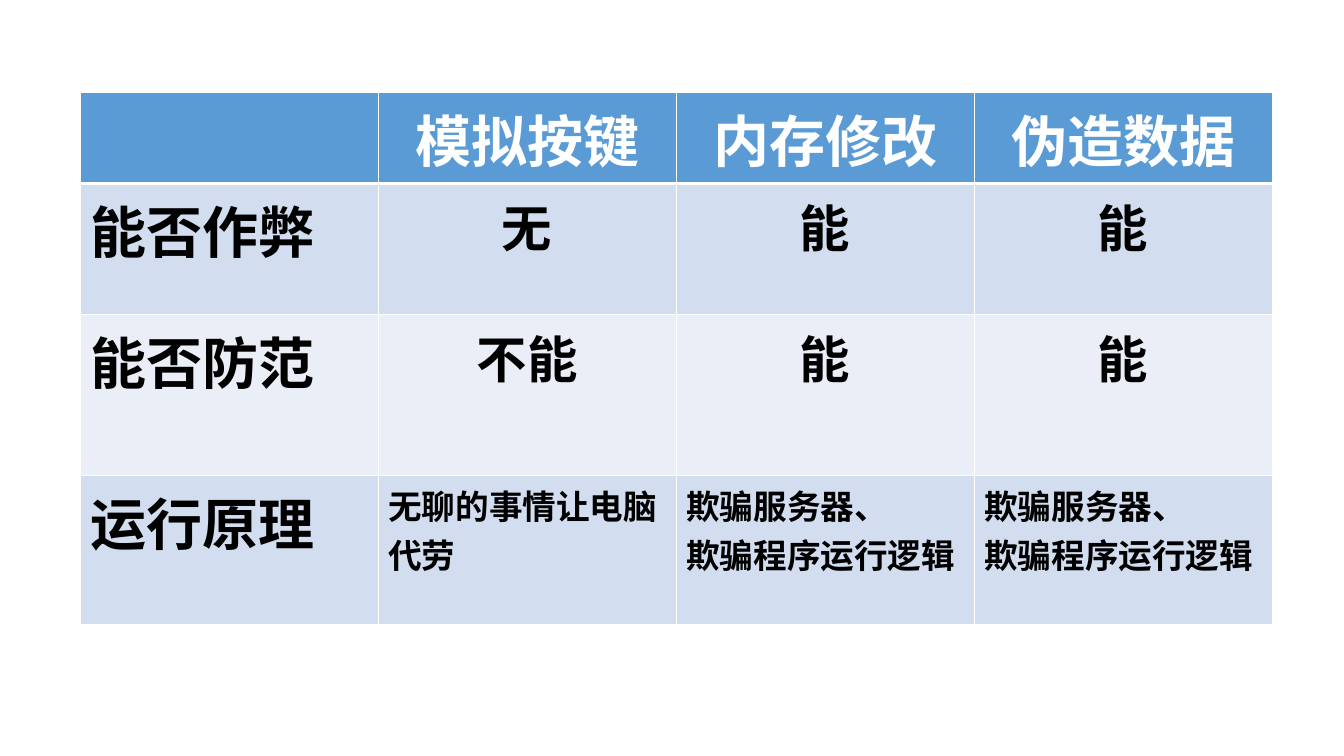
from lxml import etree
from pptx import Presentation
from pptx.dml.color import RGBColor
from pptx.enum import text
from pptx.oxml import ns
from pptx.util import Cm, Pt

FONT = "Noto Sans CJK SC"
WHITE = RGBColor(0xFF, 0xFF, 0xFF)
BLACK = RGBColor(0x00, 0x00, 0x00)
BLUE = RGBColor(0x5B, 0x9B, 0xD5)
BAND_DARK = RGBColor(0xD2, 0xDE, 0xEF)
BAND_LIGHT = RGBColor(0xEA, 0xEF, 0xF7)

ROWS = [
    ["", "模拟按键", "内存修改", "伪造数据"],
    ["能否作弊", "无", "能", "能"],
    ["能否防范", "不能", "能", "能"],
    ["运行原理", "无聊的事情让电脑代劳"] + ["欺骗服务器、\n欺骗程序运行逻辑"] * 2,
]
HEIGHTS = [2.21, 3.3, 4.06, 3.76]
FILLS = [BLUE, BAND_DARK, BAND_LIGHT, BAND_DARK]
BODY_SIZES = [40, 36, 36, 24]
COL_WIDTH = 7.51


def set_border(cell, index, side, width):
    ln = etree.Element(ns.qn("a:ln" + side), w=str(Pt(width)))
    fill = etree.SubElement(ln, ns.qn("a:solidFill"))
    etree.SubElement(fill, ns.qn("a:srgbClr"), val=str(WHITE))
    cell._tc.get_or_add_tcPr().insert(index, ln)


prs = Presentation()
prs.slide_width, prs.slide_height = Cm(33.87), Cm(19.05)
s = prs.slides.add_slide(prs.slide_layouts[6])

# Comparison table
table = s.shapes.add_table(len(ROWS), len(ROWS[0]), Cm(2.02), Cm(2.33),
                           Cm(COL_WIDTH * 4), Cm(sum(HEIGHTS))).table
for col in table.columns:
    col.width = Cm(COL_WIDTH)

for i, labels in enumerate(ROWS):
    table.rows[i].height = Cm(HEIGHTS[i])
    for j, label in enumerate(labels):
        cell = table.cell(i, j)
        cell.fill.solid()
        cell.fill.fore_color.rgb = FILLS[i]

        # White grid, heavier under the header
        for k, side in enumerate("LRTB"):
            under_header = (i, side) in ((0, "B"), (1, "T"))
            set_border(cell, k, side, 3 if under_header else 1)

        # Cell text
        cell.text_frame.text = label
        for p in cell.text_frame.paragraphs:
            centred = j > 0 and i < 3
            p.alignment = text.PP_ALIGN.CENTER if centred else text.PP_ALIGN.LEFT
            for r in p.runs:
                r.font.size = Pt(BODY_SIZES[i] if j else 40)
                r.font.bold = True
                r.font.color.rgb = BLACK if i else WHITE
                r.font.name = FONT
                etree.SubElement(r.font._element, ns.qn("a:ea"), typeface=FONT)

prs.save("out.pptx")
